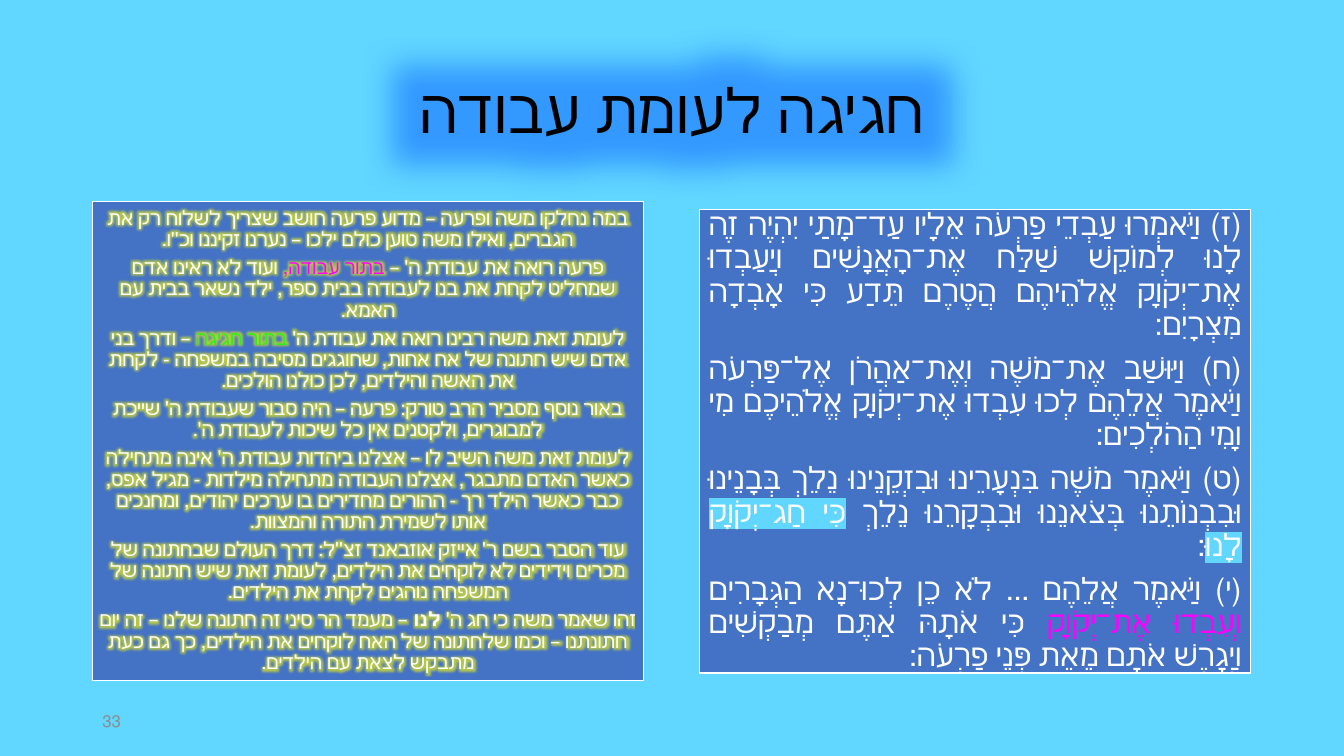
from pptx import Presentation
from pptx.dml.color import RGBColor
from pptx.enum.shapes import MSO_SHAPE as Preset
from pptx.enum.text import MSO_ANCHOR as Anchor, PP_ALIGN as Align
from pptx.oxml import parse_xml
from pptx.oxml.ns import nsdecls, qn
from pptx.util import Cm, Pt

FONT = "Calibri"
SKY = RGBColor(0x61, 0xD6, 0xFF)
BLUE = RGBColor(0x44, 0x72, 0xC4)
WHITE = RGBColor(0xFF, 0xFF, 0xFF)
BLACK = RGBColor(0x00, 0x00, 0x00)
GRAY = RGBColor(0x8C, 0x8C, 0x8C)
MAGENTA = RGBColor(0xFF, 0x00, 0xFF)
GREEN = RGBColor(0x26, 0xF2, 0x16)
YELLOW = RGBColor(0xFF, 0xFF, 0x00)
AZURE = RGBColor(0x33, 0x99, 0xFF)

TITLE_GLOW = (AZURE, 100, 100)
TEXT_GLOW = (YELLOW, 8, 60)

COMMENTARY = [
    ["במה נחלקו משה ופרעה – מדוע פרעה חושב שצריך לשלוח רק את הגברים, ואילו משה טוען כולם ילכו – נערנו זקיננו וכ''ו."],
    ["פרעה רואה את עבודת ה' – ", ("בתור עבודה, ", {"color": MAGENTA}),
     "ועוד לא ראינו אדם שמחליט לקחת את בנו לעבודה בבית ספר, ילד נשאר בבית עם האמא."],
    ["לעומת זאת משה רבינו רואה את עבודת ה' ", ("בתור חגיגה ", {"color": GREEN}),
     "– ודרך בני אדם שיש חתונה של אח אחות, שחוגגים מסיבה במשפחה - לקחת את האשה והילדים, לכן כולנו הולכים."],
    ["באור נוסף מסביר הרב טורק: פרעה – היה סבור שעבודת ה' שייכת למבוגרים, ולקטנים אין כל שיכות לעבודת ה'."],
    ["לעומת זאת משה השיב לו – אצלנו ביהדות עבודת ה' אינה מתחילה כאשר האדם מתבגר, "
     "אצלנו העבודה מתחילה מילדות - מגיל אפס, כבר כאשר הילד רך - ההורים מחדירים בו ערכים יהודים, "
     "ומחנכים אותו לשמירת התורה והמצוות."],
    ["עוד הסבר בשם ר' אייזק אוזבאנד זצ''ל: דרך העולם שבחתונה של מכרים וידידים לא לוקחים את הילדים, "
     "לעומת זאת שיש חתונה של המשפחה נוהגים לקחת את הילדים."],
    ["זהו שאמר משה כי חג ה' ", ("לנו ", {"bold": True}),
     "– מעמד הר סיני זה חתונה שלנו – זה יום חתונתנו – וכמו שלחתונה של האח לוקחים את הילדים, "
     "כך גם כעת מתבקש לצאת עם הילדים."],
]
VERSES = [
    ["(ז) וַיֹּאמְרוּ עַבְדֵי פַרְעֹה אֵלָיו עַד־מָתַי יִהְיֶה זֶה לָנוּ לְמוֹקֵשׁ שַׁלַּח אֶת־הָאֲנָשִׁים "
     "וְיַעַבְדוּ אֶת־יְקֹוָק אֱלֹהֵיהֶם הֲטֶרֶם תֵּדַע כִּי אָבְדָה מִצְרָיִם:"],
    ["(ח) וַיּוּשַׁב אֶת־מֹשֶׁה וְאֶת־אַהֲרֹן אֶל־פַּרְעֹה וַיֹּאמֶר אֲלֵהֶם לְכוּ עִבְדוּ אֶת־יְקֹוָק "
     "אֱלֹהֵיכֶם מִי וָמִי הַהֹלְכִים:"],
    ["(ט) וַיֹּאמֶר מֹשֶׁה בִּנְעָרֵינוּ וּבִזְקֵנֵינוּ נֵלֵךְ בְּבָנֵינוּ וּבִבְנוֹתֵנוּ בְּצֹאנֵנוּ וּבִבְקָרֵנוּ נֵלֵךְ ",
     ("כִּי חַג־יְקֹוָק לָנוּ", {"highlight": SKY}), ":"],
    ["(י) וַיֹּאמֶר אֲלֵהֶם ... לֹא כֵן לְכוּ־נָא הַגְּבָרִים ", ("וְעִבְדוּ אֶת־יְקֹוָק ", {"color": MAGENTA}),
     "כִּי אֹתָהּ אַתֶּם מְבַקְשִׁים וַיְגָרֶשׁ אֹתָם מֵאֵת פְּנֵי פַרְעֹה:"],
]


def add_run(paragraph, text, *, size, color, bold=False, glow=None, highlight=None):
    """Add a run of Hebrew text with its format."""
    run = paragraph.add_run()
    run.text = text
    font = run.font
    font.size, font.bold, font.name = Pt(size), bold, FONT
    font.color.rgb = color
    properties = run._r.get_or_add_rPr()
    properties.set("lang", "he-IL")
    fill = properties.find(qn("a:solidFill"))
    if highlight is not None:
        fill.addnext(parse_xml(
            f'<a:highlight {nsdecls("a")}><a:srgbClr val="{highlight}"/></a:highlight>'))
    if glow:
        glow_color, radius, opacity = glow
        fill.addnext(parse_xml(
            f'<a:effectLst {nsdecls("a")}><a:glow rad="{Pt(radius)}"><a:srgbClr val="{glow_color}">'
            f'<a:alpha val="{opacity * 1000}"/></a:srgbClr></a:glow></a:effectLst>'))


def write_text(shape, paragraphs, *, align, margin=None, spacing=0.9, space_after=0, **style):
    """Fill a shape with right-to-left paragraphs made of plain or styled pieces."""
    frame = shape.text_frame
    frame.word_wrap = True
    frame.vertical_anchor = Anchor.MIDDLE
    if margin is not None:
        frame.margin_left = frame.margin_right = margin
        frame.margin_top = frame.margin_bottom = margin
    for index, pieces in enumerate(paragraphs):
        paragraph = frame.add_paragraph() if index else frame.paragraphs[0]
        paragraph.alignment = align
        paragraph.line_spacing = spacing
        paragraph.space_after = Pt(space_after)
        paragraph._p.get_or_add_pPr().set("rtl", "1")
        for piece in pieces:
            text, changes = (piece, {}) if isinstance(piece, str) else piece
            add_run(paragraph, text, **{**style, **changes})


def add_label(slide, box, text, **style):
    """Add a text box with one line."""
    write_text(slide.shapes.add_textbox(*box), [[text]], **style)


def add_panel(slide, box, paragraphs, *, size, **style):
    """Add a blue panel with a white outline and white text."""
    panel = slide.shapes.add_shape(Preset.RECTANGLE, *box)
    panel.shadow.inherit = False
    panel.fill.solid()
    panel.fill.fore_color.rgb = BLUE
    panel.line.color.rgb = WHITE
    panel.line.width = Pt(1)
    write_text(panel, paragraphs, size=size, color=WHITE, space_after=round(size * 0.35, 1), **style)


def main():
    """Build the slide and save it."""
    presentation = Presentation()
    presentation.slide_width, presentation.slide_height = Cm(33.87), Cm(19.05)
    slide = presentation.slides.add_slide(presentation.slide_layouts[6])
    slide.background.fill.solid()
    slide.background.fill.fore_color.rgb = SKY

    left, panel_width = Cm(2.33), Cm(13.89)
    add_label(slide, (left, Cm(1.02), Cm(29.21), Cm(3.68)), "חגיגה לעומת עבודה",
              align=Align.CENTER, size=44, color=BLACK, glow=TITLE_GLOW)
    add_panel(slide, (left, Cm(5.08), panel_width, Cm(12.07)), COMMENTARY,
              align=Align.CENTER, margin=Cm(0.15), size=14, glow=TEXT_GLOW)
    add_panel(slide, (Cm(17.63), Cm(5.28), panel_width, Cm(11.68)), VERSES,
              align=Align.JUSTIFY, margin=Cm(0.23), size=22)
    add_label(slide, (left, Cm(17.65), Cm(7.62), Cm(1.02)), "33",
              align=Align.LEFT, spacing=1.0, size=12, color=GRAY)
    presentation.save("out.pptx")


if __name__ == "__main__":
    main()
